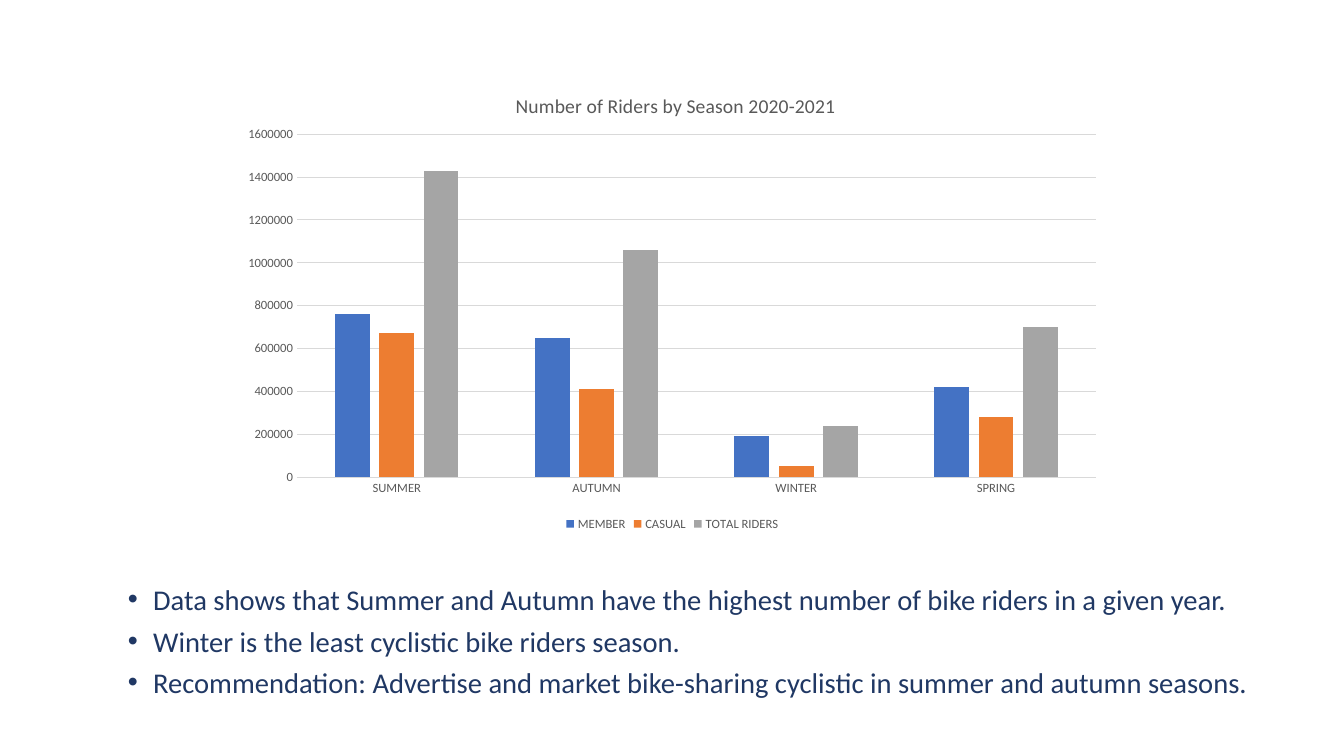
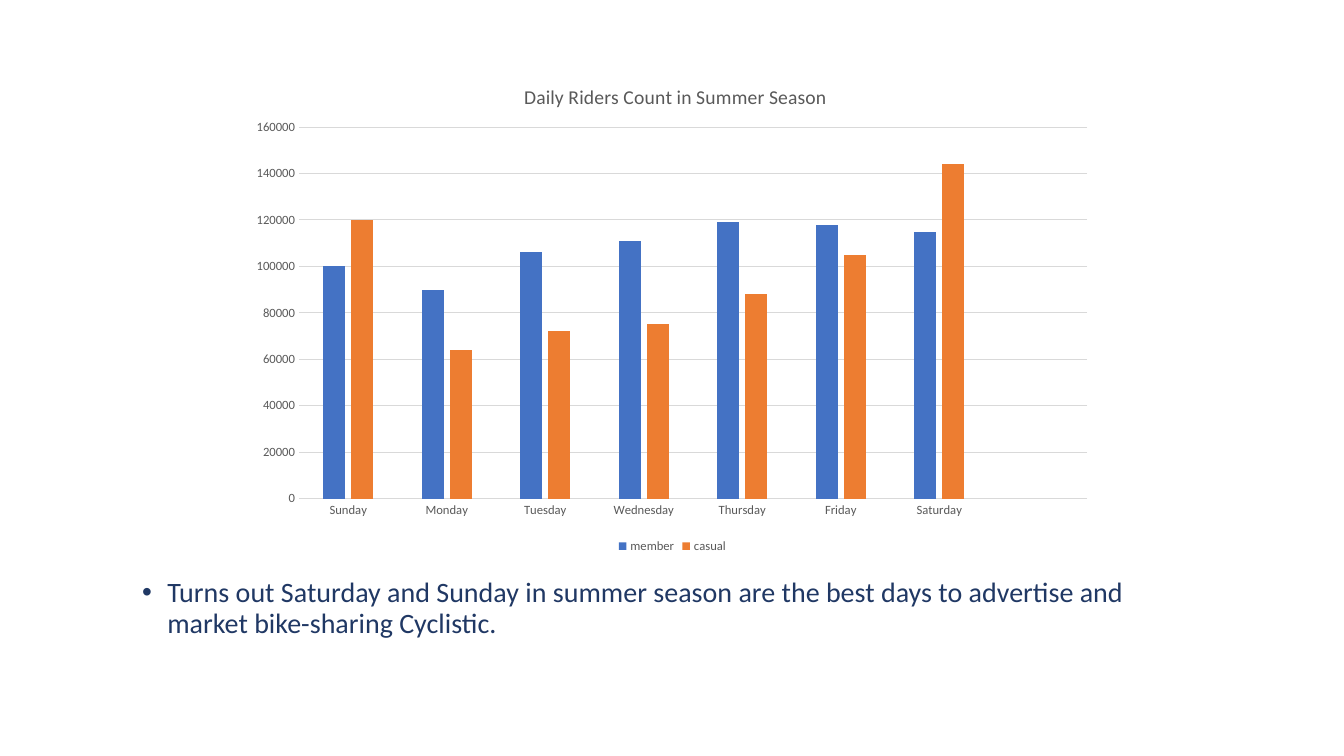
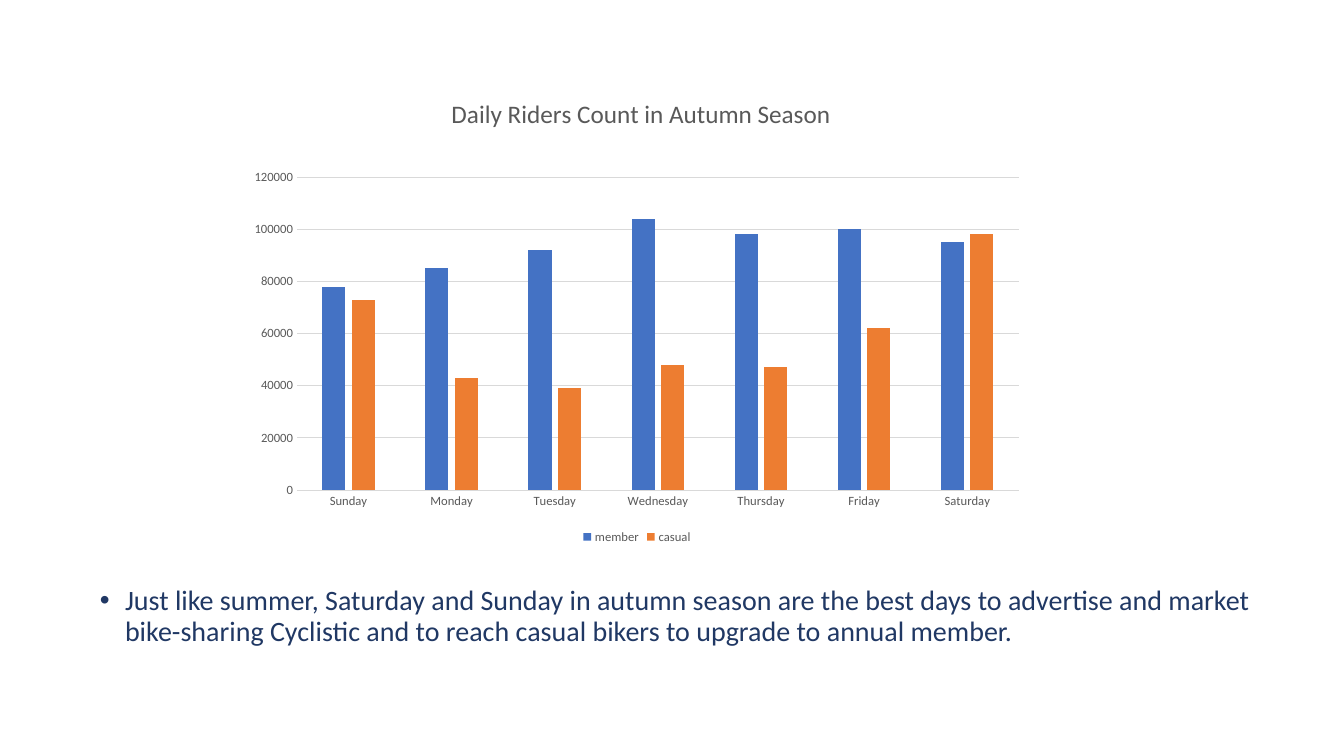
from dataclasses import dataclass

from pptx import Presentation
from pptx.chart.chart import Chart
from pptx.chart.data import CategoryChartData
from pptx.dml.color import RGBColor
from pptx.enum.chart import XL_CHART_TYPE, XL_LEGEND_POSITION, XL_TICK_MARK
from pptx.enum.text import MSO_AUTO_SIZE
from pptx.oxml.xmlchemy import OxmlElement
from pptx.slide import Slide
from pptx.util import Pt

COLUMNS = XL_CHART_TYPE.COLUMN_CLUSTERED
BOTTOM = XL_LEGEND_POSITION.BOTTOM
NO_TICK = XL_TICK_MARK.NONE
NO_AUTOFIT = MSO_AUTO_SIZE.NONE

FONT = "Calibri"
NAVY = RGBColor(0x20, 0x38, 0x64)
BLACK = RGBColor(0x00, 0x00, 0x00)
GRAY = RGBColor(0x59, 0x59, 0x59)
LIGHT = RGBColor(0xD9, 0xD9, 0xD9)
BLUE = RGBColor(0x44, 0x72, 0xC4)
ORANGE = RGBColor(0xED, 0x7D, 0x31)
SILVER = RGBColor(0xA5, 0xA5, 0xA5)
SERIES_COLORS = (BLUE, ORANGE, SILVER)

SEASONS = ("SUMMER", "AUTUMN", "WINTER", "SPRING")
DAYS = ("Sunday", "Monday", "Tuesday", "Wednesday", "Thursday", "Friday", "Saturday")


@dataclass(frozen=True)
class Box:
    """A rectangle on the slide, in points."""
    x: float
    y: float
    w: float = 0
    h: float = 0


@dataclass(frozen=True)
class RiderChart:
    title: str
    title_size: float
    title_at: Box
    box: Box
    plot: Box
    axis_max: int
    axis_step: int
    categories: tuple[str, ...]
    series: dict[str, tuple[int | None, ...]]


@dataclass(frozen=True)
class Findings:
    box: Box
    size: float
    line_spacing: float
    lines: tuple[str, ...]


SLIDES = (
    (
        RiderChart(
            "Number of Riders by Season 2020-2021", 14, Box(365.7, 63.5),
            Box(164.9, 49, 630.7, 333.4), Box(212.1, 95.9, 570.7, 245),
            1600000, 200000, SEASONS,
            {
                "MEMBER": (760000, 650000, 190000, 420000),
                "CASUAL": (670000, 410000, 50000, 280000),
                "TOTAL RIDERS": (1430000, 1060000, 240000, 700000),
            },
        ),
        Findings(
            Box(84.2, 416.9, 851, 95.8), 20.4, 0.8,
            (
                "Data shows that Summer and Autumn have the highest number of bike riders in a given year.",
                "Winter is the least cyclistic bike riders season.",
                "Recommendation: Advertise and market bike-sharing cyclistic in summer and autumn seasons.",
            ),
        ),
    ),
    (
        RiderChart(
            "Daily Riders Count in Summer Season", 14, Box(371.8, 57),
            Box(171.4, 41.8, 617.8, 356.4), Box(213.6, 90.8, 562.9, 265.4),
            160000, 20000, DAYS + ("",),
            {
                "member": (100000, 90000, 106000, 111000, 119000, 118000, 115000, None),
                "casual": (120000, 64000, 72000, 75000, 88000, 105000, 144000, None),
            },
        ),
        Findings(
            Box(94.3, 409.7, 756, 88.6), 20, 0.9,
            ("Turns out Saturday and Sunday in summer season are the best days to advertise "
             "and market bike-sharing Cyclistic.",),
        ),
    ),
    (
        RiderChart(
            "Daily Riders Count in Autumn Season", 18, Box(319.3, 65.4),
            Box(170.6, 49, 568.8, 342.7), Box(212.1, 126.5, 515.7, 223.6),
            120000, 20000, DAYS,
            {
                "member": (78000, 85000, 92000, 104000, 98000, 100000, 95000),
                "casual": (73000, 43000, 39000, 48000, 47000, 62000, 98000),
            },
        ),
        Findings(
            Box(64.1, 415.4, 859.7, 91.4), 20, 0.9,
            ("Just like summer, Saturday and Sunday in autumn season are the best days to advertise "
             "and market bike-sharing Cyclistic and to reach casual bikers to upgrade to annual member.",),
        ),
    ),
)


def style_font(font, size: float, color: RGBColor) -> None:
    font.name = FONT
    font.size = Pt(size)
    font.bold = False
    font.color.rgb = color


def style_line(line) -> None:
    line.color.rgb = LIGHT
    line.width = Pt(0.75)


def place_in_chart(parent, index: int, part: Box, frame: Box) -> None:
    """Give a chart part a manual layout, as fractions of the chart frame."""
    for old in parent.xpath("c:layout"):
        parent.remove(old)
    values = {"xMode": "edge", "yMode": "edge",
              "x": (part.x - frame.x) / frame.w, "y": (part.y - frame.y) / frame.h}
    if part.w:
        values = {"layoutTarget": "inner", **values,
                  "w": part.w / frame.w, "h": part.h / frame.h}
    layout, manual = OxmlElement("c:layout"), OxmlElement("c:manualLayout")
    for name, value in values.items():
        child = OxmlElement(f"c:{name}")
        child.set("val", str(value))
        manual.append(child)
    layout.append(manual)
    parent.insert(index, layout)


def style_axes(chart: Chart, spec: RiderChart) -> None:
    category, value = chart.category_axis, chart.value_axis
    for axis in (category, value):
        axis.major_tick_mark = axis.minor_tick_mark = NO_TICK
        style_font(axis.tick_labels.font, 9, GRAY)
    style_line(category.format.line)
    value.format.line.fill.background()
    style_line(value.major_gridlines.format.line)
    value.minimum_scale = 0
    value.maximum_scale = spec.axis_max
    value.major_unit = spec.axis_step


def add_rider_chart(s: Slide, spec: RiderChart) -> None:
    data = CategoryChartData(number_format="General")
    data.categories = spec.categories
    for name, values in spec.series.items():
        data.add_series(name, values)
    box = spec.box
    chart = s.shapes.add_chart(COLUMNS, Pt(box.x), Pt(box.y), Pt(box.w), Pt(box.h), data).chart
    style_font(chart.font, 10, BLACK)

    tf = chart.chart_title.text_frame
    tf.text = spec.title
    style_font(tf.paragraphs[0].runs[0].font, spec.title_size, GRAY)
    chart.chart_title.include_in_layout = False

    chart.has_legend = True
    chart.legend.position = BOTTOM
    chart.legend.include_in_layout = False
    style_font(chart.legend.font, 9, GRAY)

    style_axes(chart, spec)
    plot = chart.plots[0]
    plot.gap_width = 219
    plot.overlap = -27
    plot.vary_by_categories = False
    for series, color in zip(plot.series, SERIES_COLORS):
        series.format.fill.solid()
        series.format.fill.fore_color.rgb = color

    place_in_chart(chart.element.xpath("c:chart/c:title")[0], 1, spec.title_at, box)
    place_in_chart(chart.element.xpath("c:chart/c:plotArea")[0], 0, spec.plot, box)


def write_findings(s: Slide, findings: Findings) -> None:
    body, box = s.placeholders[1], findings.box
    body.left, body.top, body.width, body.height = Pt(box.x), Pt(box.y), Pt(box.w), Pt(box.h)
    tf = body.text_frame
    tf.text = "\n".join(findings.lines)
    tf.word_wrap = True
    tf.auto_size = NO_AUTOFIT
    for p in tf.paragraphs:
        p.line_spacing = findings.line_spacing
        p.space_before = Pt(10)
        pPr = p._p.get_or_add_pPr()
        pPr.set("marL", str(Pt(18)))
        pPr.set("indent", str(-Pt(18)))
        for r in p.runs:
            style_font(r.font, findings.size, NAVY)


def main() -> None:
    prs = Presentation()
    prs.slide_width, prs.slide_height = Pt(960), Pt(540)
    content_layout = prs.slide_layouts.get_by_name("Title and Content")
    for rider_chart, findings in SLIDES:
        s = prs.slides.add_slide(content_layout)
        title = s.shapes.title.element
        title.getparent().remove(title)
        write_findings(s, findings)
        add_rider_chart(s, rider_chart)
    prs.save("out.pptx")


if __name__ == "__main__":
    main()
